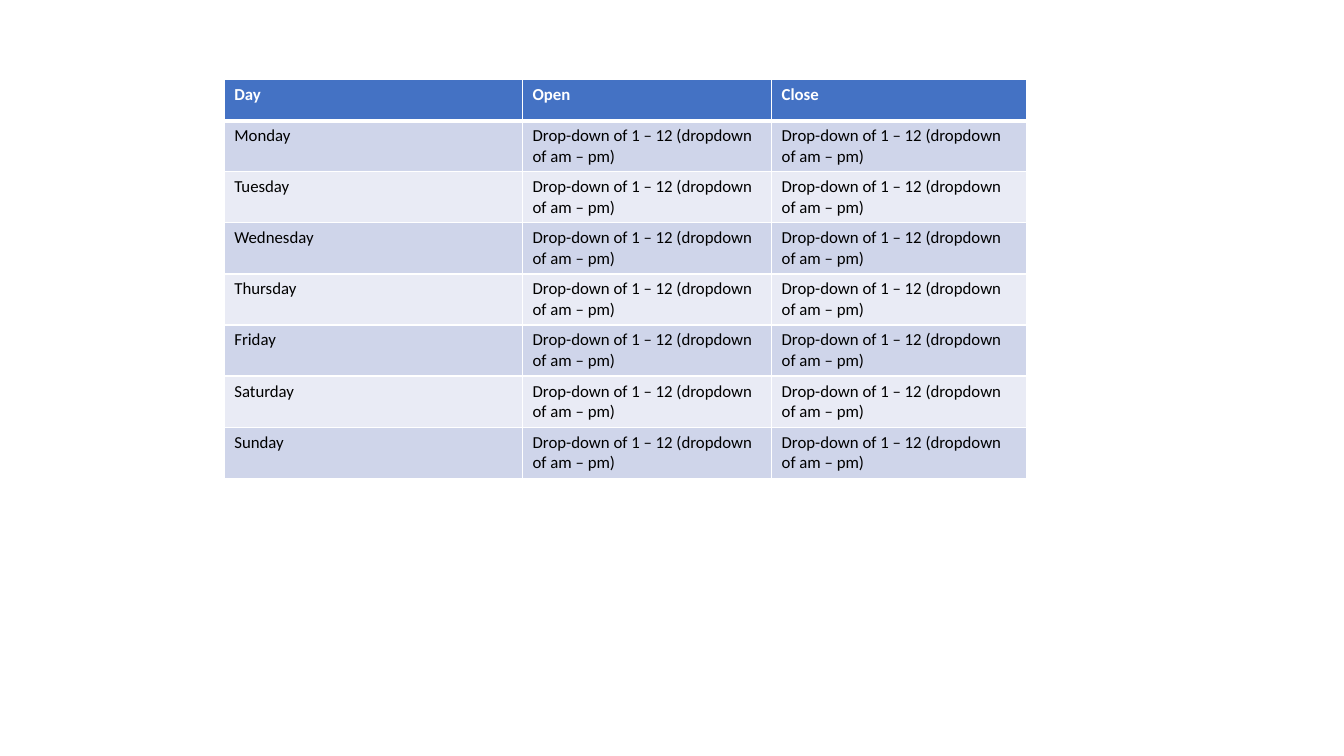
from lxml import etree
from pptx import Presentation
from pptx.dml.color import RGBColor
from pptx.oxml.ns import qn
from pptx.util import Pt

COLORS = {
    "head": "4472C4",
    "odd": "CFD5EA",
    "even": "E9EBF5",
    "white": "FFFFFF",
    "black": "000000",
}
HOURS = "Drop-down of 1 – 12 (dropdown of am – pm)"
DAYS = ["Monday", "Tuesday", "Wednesday", "Thursday", "Friday", "Saturday", "Sunday"]
WIDTHS = [213.1, 177.9, 182.1]
HEIGHT = 29.2


def rgb(name):
    return RGBColor.from_string(COLORS[name])


def add_edge(cell, side, width):
    props = cell._tc.get_or_add_tcPr()
    line = etree.SubElement(props, qn("a:ln" + side), w=str(Pt(width)))
    fill = etree.SubElement(line, qn("a:solidFill"))
    etree.SubElement(fill, qn("a:srgbClr"), val=COLORS["white"])


# Slide
deck = Presentation()
deck.slide_width, deck.slide_height = Pt(960), Pt(540)
slide = deck.slides.add_slide(deck.slide_layouts[6])

# Opening hours table
rows = [["Day", "Open", "Close"]] + [[day, HOURS, HOURS] for day in DAYS]
frame = slide.shapes.add_table(
    len(rows), len(WIDTHS), Pt(160.2), Pt(57), Pt(sum(WIDTHS)), Pt(HEIGHT * len(rows))
)
table = frame.table
for col, width in zip(table.columns, WIDTHS):
    col.width = Pt(width)

# Cells, with a thick rule under the header
for r, row in enumerate(rows):
    table.rows[r].height = Pt(HEIGHT)
    band = "head" if r == 0 else "odd" if r % 2 else "even"
    for c, text in enumerate(row):
        cell = table.cell(r, c)
        edges = {"L": 1, "R": 1, "T": 3 if r == 1 else 1, "B": 3 if r == 0 else 1}
        for side, width in edges.items():
            add_edge(cell, side, width)
        cell.fill.solid()
        cell.fill.fore_color.rgb = rgb(band)
        cell.text = text
        font = cell.text_frame.paragraphs[0].font
        font.name = "Calibri"
        font.size = Pt(12)
        font.bold = r == 0
        font.color.rgb = rgb("white" if r == 0 else "black")

deck.save("out.pptx")
